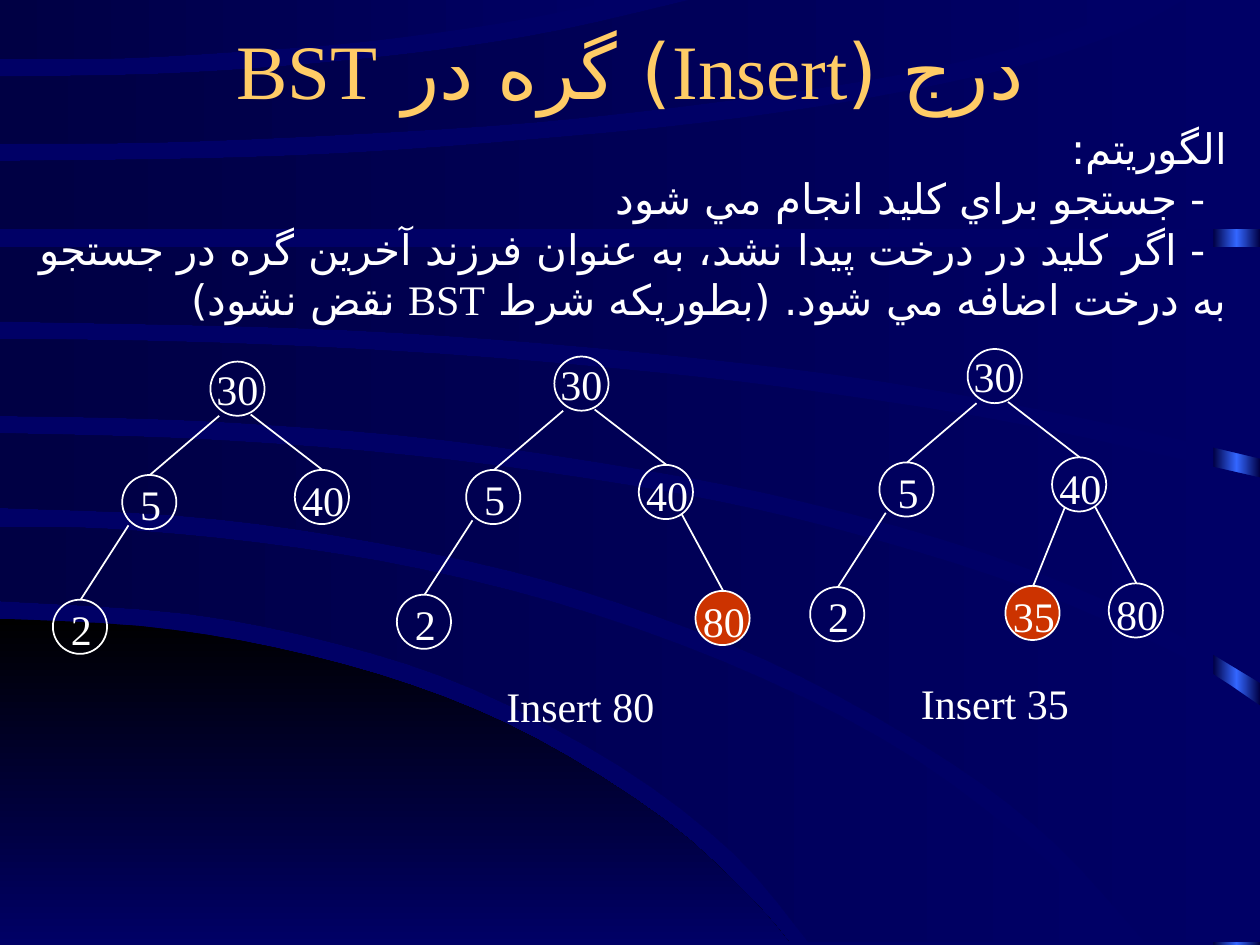
"""Build a slide on inserting nodes into a binary search tree."""
from copy import deepcopy
from dataclasses import dataclass
from typing import Optional

from lxml.etree import SubElement
from pptx import Presentation
from pptx.dml.color import RGBColor
from pptx.enum.shapes import MSO_CONNECTOR, MSO_SHAPE
from pptx.enum.text import MSO_ANCHOR, MSO_AUTO_SIZE, PP_ALIGN
from pptx.oxml.ns import qn
from pptx.util import Emu, Inches, Pt

WIDTH, HEIGHT = Inches(10), Inches(7.5)
COLS, ROWS = 100, 75
CELL = WIDTH // COLS
NODE = 4.3
FONT, PERSIAN_FONT = "Times New Roman", "DejaVu Sans"
NAVY = RGBColor(0x00, 0x00, 0x66)
DARK = RGBColor(0x00, 0x00, 0x44)
BLUE = RGBColor(0x33, 0x66, 0xFF)
BLACK = RGBColor(0x00, 0x00, 0x00)
WHITE = RGBColor(0xFF, 0xFF, 0xFF)
GOLD = RGBColor(0xFF, 0xCC, 0x66)
RED = RGBColor(0xCC, 0x33, 0x00)

Point = tuple[float, float]
Curve = list[Point]


@dataclass
class Band:
    """Area between curves given in grid cells, with a gradient."""
    curves: list[Curve]
    colors: tuple[RGBColor, ...] = (NAVY, DARK)
    angle: int = 180


@dataclass
class Node:
    """Tree node placed relative to the root, with its edge's start on the parent."""
    dx: float = 0
    dy: float = 0
    parent: Optional[str] = None
    port: Point = (0, 0)


@dataclass
class Tree:
    """Tree at a root position, with its keys and the inserted one."""
    x: float
    y: float
    keys: list[str]
    inserted: Optional[str] = None
    caption: Optional[Point] = None


BANDS = [
    Band([[(-0.1, 49.1), (11.2, 49.7), (21.8, 51.4), (32.7, 54.4), (42.5, 58.6),
           (52.8, 65.1), (59.6, 71.3), (62.8, 75)], [(-0.1, 75)]], (BLACK, NAVY), 270),
    Band([[(0, 41.8), (8.7, 42), (20.6, 43.1), (33.5, 45.2), (47.2, 48.8),
           (60.6, 53.9), (72.7, 60.3), (83.3, 68.5), (89.3, 74.8)],
          [(64.2, 74.8), (58.2, 67.7), (49.2, 60.8), (37.6, 54.7), (26.8, 51.1),
           (14.8, 48.7), (0, 47.7)]]),
    Band([[(0, 34.4), (14.4, 34.8), (28.9, 35.8), (42.6, 37.4), (57, 39.8),
           (69.3, 42.8), (81.8, 46.8), (93.8, 52.1), (100, 56)],
          [(100, 74.8), (90.9, 74.8)],
          [(90.9, 74.8), (83.8, 67), (75.6, 60.6), (63.6, 53.7), (52.1, 48.9),
           (40.5, 45.3), (26.7, 42.5), (14, 40.9), (0, 40.3)]]),
    Band([[(0, 26.9), (16.8, 27.2), (34.9, 28.1), (52.3, 29.6), (66.2, 31.3),
           (81.6, 33.8), (100, 37.9)],
          [(100, 54.2), (91.2, 49.2), (78.2, 43.9), (64.1, 39.9), (51.2, 37.3),
           (35.1, 34.9), (21.1, 33.7), (10.9, 33.2), (0, 33)]]),
    Band([[(0, 19.6), (100, 19.6)],
          [(100, 36.4), (86.5, 33.3), (70.2, 30.3), (55.2, 28.4), (38.9, 26.9),
           (22.8, 26), (0, 25.5)]]),
    Band([[(0, 18.2), (100, 18.2)], [(100, -0.2), (94.3, -0.2)],
          [(94.3, -0.2), (89.2, 2.5), (80.3, 5.4), (68.4, 7.9), (55.4, 9.8),
           (42, 11.1), (28.6, 12.1), (15.7, 12.6), (0, 12.8)]]),
    Band([[(0, 11.4), (12.6, 11.3), (27, 10.7), (42.5, 9.7), (57.7, 8),
           (71.5, 5.9), (83, 3.1), (91.7, -0.2)],
          [(55.6, -0.2), (44.5, 2.4), (34.7, 4), (23.3, 5.2), (12.1, 5.9), (0, 6.1)]]),
    Band([[(0, -0.2), (0, 4.7)],
          [(0, 4.7), (10.1, 4.6), (20.2, 4), (28.9, 3.3), (39.9, 1.8), (50.1, -0.2)]]),
]
NODES = {
    "30": Node(),
    "5": Node(-7, 9, "30", (0.7, 4.3)),
    "40": Node(6.7, 8.6, "30", (3.2, 4.2)),
    "2": Node(-12.5, 18.9, "5", (0.5, 4)),
    "35": Node(3, 18.8, "40", (1, 4)),
    "80": Node(11.2, 18.6, "40", (3.4, 3.9)),
}
TREES = [
    Tree(16.7, 28.7, ["30", "5", "40", "2"]),
    Tree(44, 28.3, ["30", "5", "40", "2", "80"], "80", (39.2, 53.5)),
    Tree(76.8, 27.7, ["30", "5", "40", "2", "35", "80"], "35", (72.1, 53.3)),
]
TITLE = "درج (Insert) گره در BST"
STEPS = [
    "الگوريتم:",
    "- جستجو براي كليد انجام مي شود",
    "- اگر كليد در درخت پيدا نشد، به عنوان فرزند آخرين گره در جستجو به درخت "
    "اضافه مي شود. (بطوريكه شرط BST نقض نشود)",
]


def cells(*values: float) -> list[Emu]:
    """Turn grid cells into lengths."""
    return [Emu(round(v * CELL)) for v in values]


def smooth(pts: Curve, steps: int = 4) -> Curve:
    """Run a Catmull-Rom curve through the points."""
    if len(pts) < 3:
        return pts
    ext = [pts[0], *pts, pts[-1]]
    curve = [pts[0]]
    for a, b, c, d in zip(ext, ext[1:], ext[2:], ext[3:]):
        for t in (i / steps for i in range(1, steps + 1)):
            curve.append(tuple(
                (2 * q + (r - p) * t + (2 * p - 5 * q + 4 * r - s) * t ** 2
                 + (3 * q - p - 3 * r + s) * t ** 3) / 2
                for p, q, r, s in zip(a, b, c, d)))
    return curve


def paint_gradient(sp, colors: tuple[RGBColor, ...], angle: int) -> None:
    """Fill a shape with evenly spaced colours and no outline."""
    sp.shadow.inherit = False
    sp.line.fill.background()
    sp.fill.gradient()
    sp.fill.gradient_angle = angle
    gs_list = sp._element.spPr.find(qn("a:gradFill")).find(qn("a:gsLst"))
    for _ in colors[2:]:
        gs_list.insert(1, deepcopy(gs_list[0]))
    for i, (gs, color) in enumerate(zip(gs_list, colors)):
        gs.set("pos", str(100000 * i // (len(colors) - 1)))
        sp.fill.gradient_stops[i].color.rgb = color


def draw_background(slide) -> None:
    """Draw the side bar and the sweeping bands behind everything."""
    slide.background.fill.solid()
    slide.background.fill.fore_color.rgb = NAVY
    group = slide.shapes.add_group_shape()
    bar = group.shapes.add_shape(MSO_SHAPE.RECTANGLE, *cells(96.3, 0, 3.7, ROWS))
    paint_gradient(bar, (DARK, BLUE, DARK), 180)
    for band in BANDS:
        pts = [cells(*pt) for curve in band.curves for pt in smooth(curve)]
        builder = group.shapes.build_freeform(*pts[0])
        builder.add_line_segments(pts[1:])
        paint_gradient(builder.convert_to_shape(), band.colors, band.angle)
    slide.shapes._spTree.insert(2, group._element)


def style(p, size: int, color: RGBColor, align: PP_ALIGN, rtl: bool = False) -> None:
    """Format a paragraph and its runs."""
    p.alignment = align
    if rtl:
        p._p.get_or_add_pPr().set("rtl", "1")
    for r in p.runs:
        r.font.name, r.font.size, r.font.color.rgb = FONT, Pt(size), color
        if rtl:
            SubElement(r._r.get_or_add_rPr(), qn("a:cs")).set("typeface", PERSIAN_FONT)


def place(sp, x: float, y: float, w: float, h: float) -> None:
    """Move a placeholder to a grid area."""
    sp.left, sp.top, sp.width, sp.height = cells(x, y, w, h)


def fill_placeholders(slide) -> None:
    """Write the title and the algorithm's steps."""
    title, body = slide.placeholders
    place(title, 7.5, 1.7, 85, 7.5)
    title.text_frame.text = TITLE
    title.text_frame.vertical_anchor = MSO_ANCHOR.MIDDLE
    title.text_frame.auto_size = MSO_AUTO_SIZE.NONE
    style(title.text_frame.paragraphs[0], 44, GOLD, PP_ALIGN.CENTER, True)
    place(body, 1.7, 9.2, 96.7, 17)
    tf = body.text_frame
    tf.text = "\n".join(STEPS)
    tf.auto_size = MSO_AUTO_SIZE.SHAPE_TO_FIT_TEXT
    for i, p in enumerate(tf.paragraphs):
        p.space_before = Pt(0)
        pPr = p._p.get_or_add_pPr()
        pPr.set("marL", "0")
        pPr.set("indent", str(Pt(12) if i else 0))
        SubElement(pPr, qn("a:buNone"))
        style(p, 24, WHITE, PP_ALIGN.RIGHT, True)


def add_label(slide, text: str, x: float, y: float, w: float) -> None:
    """Add a one-line label."""
    tf = slide.shapes.add_textbox(*cells(x, y, w, 5)).text_frame
    tf.text = text
    tf.word_wrap = False
    tf.auto_size = MSO_AUTO_SIZE.SHAPE_TO_FIT_TEXT
    style(tf.paragraphs[0], 24, WHITE, PP_ALIGN.LEFT)


def add_edge(slide, start: Point, end: Point) -> None:
    """Add a line from a parent to a child."""
    line = slide.shapes.add_connector(MSO_CONNECTOR.STRAIGHT, *cells(*start, *end))
    line.line.color.rgb, line.line.width = WHITE, Pt(1)
    SubElement(line._element.spPr, qn("a:effectLst"))


def add_node(slide, key: str, x: float, y: float, inserted: bool) -> None:
    """Add a circle with its key, the root's key being inside the circle."""
    sp = slide.shapes.add_shape(MSO_SHAPE.OVAL, *cells(x, y, NODE, NODE))
    sp.shadow.inherit = False
    sp.line.color.rgb, sp.line.width = WHITE, Pt(1)
    if inserted:
        sp.fill.solid()
        sp.fill.fore_color.rgb = RED
    else:
        sp.fill.background()
    if NODES[key].parent:
        w = 2 + 1.7 * len(key)
        add_label(slide, key, x + 2.3 - w / 2, y - 0.3 + 0.1 * len(key), w)
    else:
        tf = sp.text_frame
        tf.text, tf.word_wrap = key, False
        tf.vertical_anchor = MSO_ANCHOR.MIDDLE
        style(tf.paragraphs[0], 24, WHITE, PP_ALIGN.CENTER)


def draw_tree(slide, tree: Tree) -> None:
    """Draw a tree's nodes, edges and caption."""
    for key in tree.keys:
        node = NODES[key]
        x, y = tree.x + node.dx, tree.y + node.dy
        add_node(slide, key, x, y, key == tree.inserted)
        if node.parent:
            parent = NODES[node.parent]
            start = (tree.x + parent.dx + node.port[0], tree.y + parent.dy + node.port[1])
            add_edge(slide, start, (x + 2.2, y))
    if tree.caption:
        add_label(slide, f"Insert {tree.inserted}", *tree.caption, 13.8)


def main() -> None:
    """Build and save the slide."""
    prs = Presentation()
    prs.slide_width, prs.slide_height = WIDTH, HEIGHT
    slide = prs.slides.add_slide(prs.slide_layouts[1])
    draw_background(slide)
    fill_placeholders(slide)
    for tree in TREES:
        draw_tree(slide, tree)
    prs.save("out.pptx")


if __name__ == "__main__":
    main()
